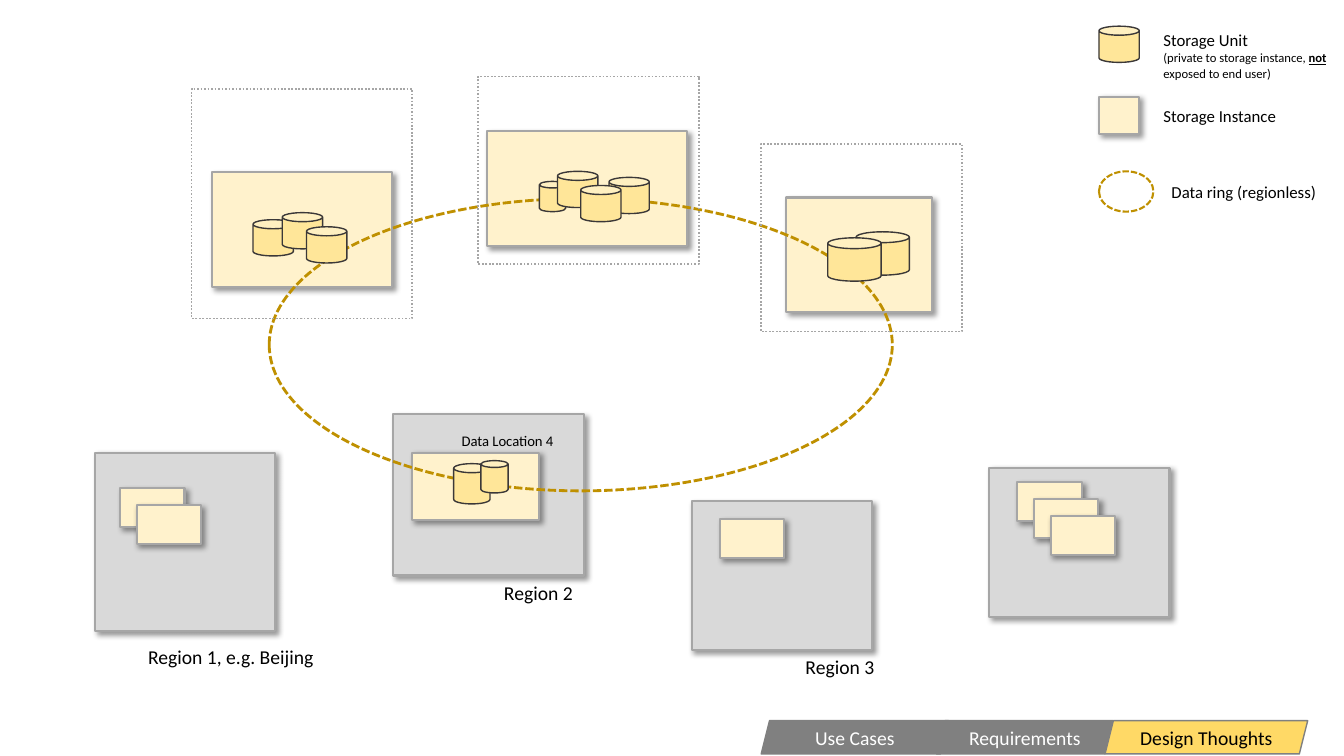
from lxml import etree
from pptx import Presentation, util as u
from pptx.dml.color import RGBColor
from pptx.enum import dml, shapes, text
from pptx.oxml.ns import qn

KIND = shapes.MSO_SHAPE
DASH = dml.MSO_LINE
COLS, ROWS = 133.3, 75  # grid of tenth-inch cells
GRAY, SAND, GOLD, RING = "D9D9D9", "FFF2CC", "FFE699", "BF9000"
EDGE, DARK, TAB, BLACK = "A6A6A6", "3B3838", "808080", "000000"


def color(code):
    return RGBColor.from_string(code)


class Deck:
    """Style and current slide; places are in grid columns and rows."""

    def __init__(self):
        self.prs = Presentation()
        self.prs.slide_width, self.prs.slide_height = u.Inches(13.33), u.Inches(7.5)
        self.slide = self.prs.slides.add_slide(self.prs.slide_layouts[6])
        self.font = "Calibri"

    def place(self, x, y, w, h):
        col, row = self.prs.slide_width / COLS, self.prs.slide_height / ROWS
        return [round(v) for v in (x * col, y * row, w * col, h * row)]

    def shape(self, kind, at, fill, edge, width, dash=None):
        item = self.slide.shapes.add_shape(kind, *self.place(*at))
        if fill:
            item.fill.solid()
            item.fill.fore_color.rgb = color(fill)
        else:
            item.fill.background()
        item.line.color.rgb = color(edge)
        item.line.width = u.Pt(width)
        if dash:
            item.line.dash_style = dash
        item.shadow.inherit = False
        return item

    def card(self, fill, *at):
        item = self.shape(KIND.RECTANGLE, at, fill, EDGE, 1.5)
        glow = item._element.spPr.find(qn("a:effectLst"))
        drop = etree.SubElement(glow, qn("a:outerShdw"), blurRad=str(u.Pt(4)),
                                dist=str(u.Pt(3)), dir="2700000", algn="tl", rotWithShape="0")
        tone = etree.SubElement(drop, qn("a:srgbClr"), val=BLACK)
        etree.SubElement(tone, qn("a:alpha"), val="40000")

    def can(self, x, y, w=4, h=3.6):
        self.shape(KIND.CAN, (x, y, w, h), GOLD, DARK, 1)

    def ring(self, at, width):
        self.shape(KIND.OVAL, at, None, RING, width, DASH.SQUARE_DOT)

    def frame(self, *at):
        self.shape(KIND.RECTANGLE, at, None, EDGE, 1.25, DASH.ROUND_DOT)

    def run(self, para, words, size, tone=BLACK, strong=False):
        run = para.add_run()
        run.text = words
        run.font.name, run.font.size = self.font, u.Pt(size)
        run.font.color.rgb = color(tone)
        if strong:
            run.font.bold = run.font.underline = True

    def label(self, at, words, size, wrap=False):
        frame = self.slide.shapes.add_textbox(*self.place(*at)).text_frame
        frame.word_wrap = wrap
        frame.auto_size = text.MSO_AUTO_SIZE.SHAPE_TO_FIT_TEXT
        self.run(frame.paragraphs[0], words, size)
        return frame

    def tab(self, x, w, words, fill, tone):
        item = self.shape(KIND.PARALLELOGRAM, (x, 71.5, w, 3.3), fill, TAB, 1)
        frame = item.text_frame
        frame.vertical_anchor = text.MSO_ANCHOR.MIDDLE
        para = frame.paragraphs[0]
        para.alignment = text.PP_ALIGN.CENTER
        self.run(para, words, 14, tone)


def main():
    deck = Deck()

    # Regions
    for at in ((9.4, 44.9, 17.9, 17.7), (39, 41.1, 18.9, 16),
               (68.6, 49.7, 17.9, 14.8), (98.1, 46.4, 17.9, 14.8)):
        deck.card(GRAY, *at)
    for x, y, w, name in ((13.7, 63.5, 18.6, "Region 1, e.g. Beijing"),
                          (49, 57.1, 8.9, "Region 2"), (78.9, 64.5, 8.9, "Region 3")):
        deck.label((x, y, w, 3.4), name, 14)

    # Storage instances on the ring
    for at in ((40.9, 44.9, 12.6, 6.7), (48.3, 13, 19.8, 11.4),
               (21, 17.1, 17.9, 11.4), (78, 19.6, 14.4, 11.4)):
        deck.card(SAND, *at)
    deck.label((44.8, 42.3, 11.7, 2.9), "Data Location 4", 10.5)

    # Storage units behind the ring, the ring, units in front
    for at in ((25.1, 21.8), (28, 21.1), (84.9, 23, 5.3, 4.3)):
        deck.can(*at)
    deck.ring((26.7, 19.7, 61.8, 29), 2)
    for at in ((45, 46, 3.6, 4), (47.7, 45.7, 2.7, 3.2), (30.4, 22.5),
               (82.1, 23.6, 5.3, 4.3), (60.4, 17.6), (53.5, 18, 2.6, 3),
               (55.3, 17), (57.6, 18.4)):
        deck.can(*at)

    # Storage instances inside regions, stacked diagonally
    for x, y, count in ((11.9, 48.4, 2), (71.4, 51.5, 1), (100.9, 47.8, 3)):
        for i in range(count):
            deck.card(SAND, x + 1.65 * i, y + 1.7 * i, 6.4, 3.9)

    # Data location frames
    for at in ((19, 8.8, 21.9, 22.8), (47.4, 7.6, 21.9, 18.6), (75.5, 14.3, 19.9, 18.6)):
        deck.frame(*at)

    # Legend
    deck.can(109, 2.6)
    note = deck.label((114.4, 2.5, 18.9, 6.1), "Storage Unit", 12, wrap=True).add_paragraph()
    deck.run(note, "(private to storage instance, ", 9)
    deck.run(note, "not", 9, strong=True)
    deck.run(note, " exposed to end user)", 9)
    deck.card(SAND, 109, 9.6, 4, 3.7)
    deck.label((114.4, 10, 13.3, 3), "Storage Instance", 12)
    deck.ring((109, 17, 5.4, 4), 1.5)
    deck.label((115.2, 17.5, 16.5, 3), "Data ring (regionless)", 12)

    # Section tabs
    deck.tab(92.9, 17.5, "Requirements", TAB, "FFFFFF")
    deck.tab(109.6, 20.1, "Design Thoughts", "FFD966", BLACK)
    deck.tab(75.5, 18.6, "Use Cases", TAB, "FFFFFF")

    deck.prs.save("out.pptx")


if __name__ == "__main__":
    main()
